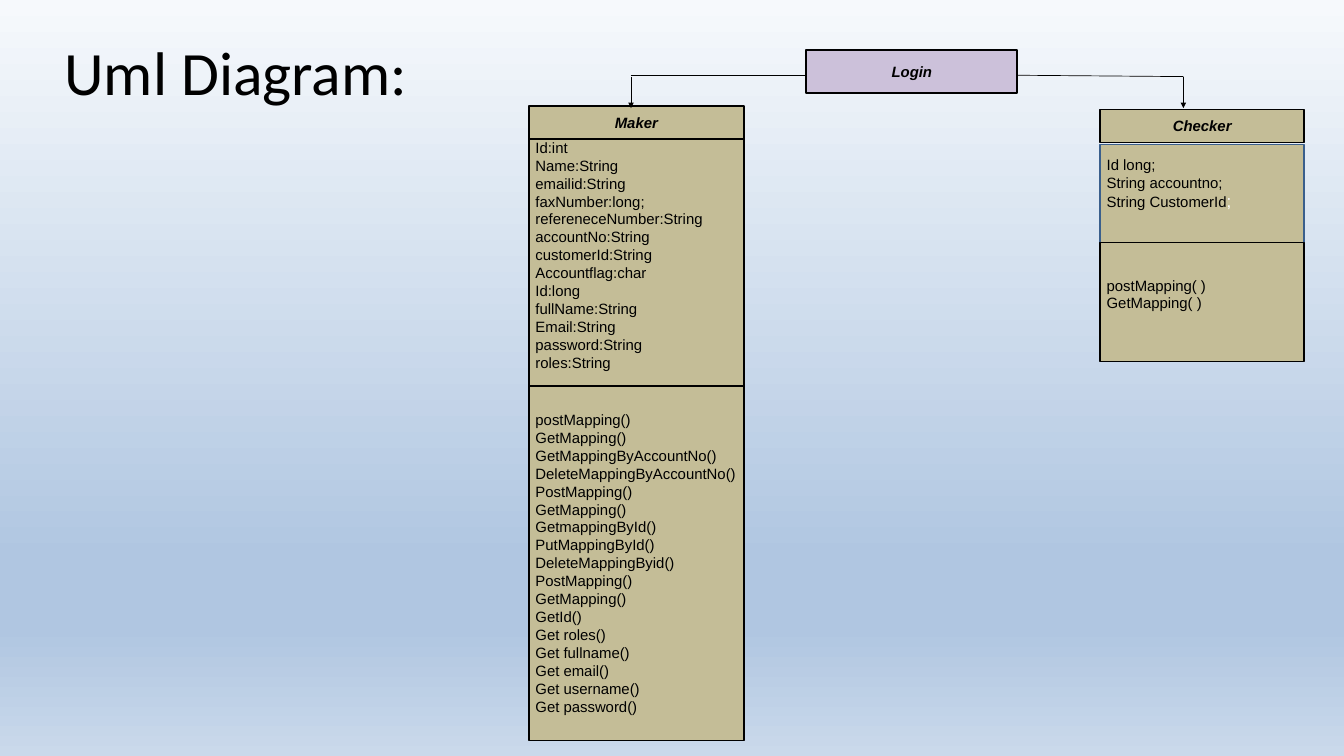
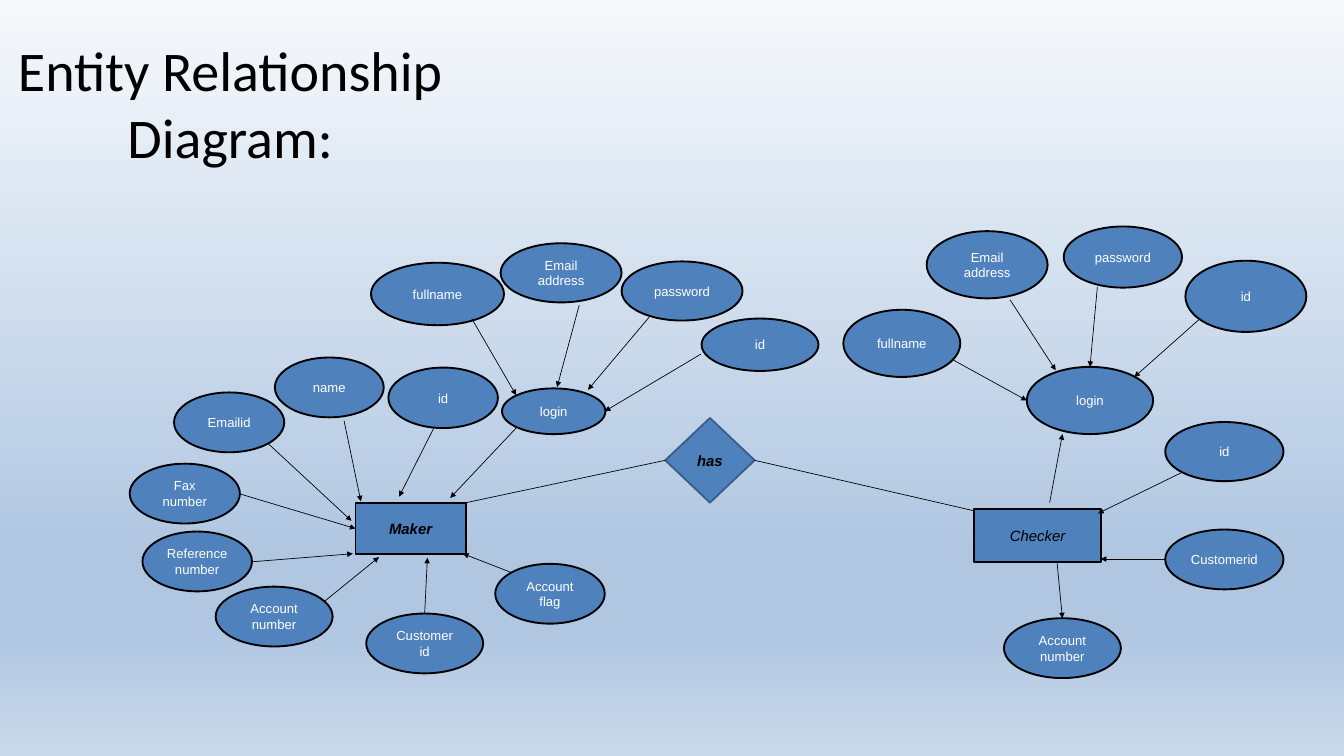
from lxml import etree
from pptx import Presentation
from pptx import util as u
from pptx.dml.color import RGBColor
from pptx.enum import shapes, text
from pptx.oxml.ns import qn

COLORS = {
    "ink": "000000", "white": "FFFFFF", "tan": "C4BD97",
    "lilac": "CCC1DA", "blue": "4F81BD", "edge": "3A5F8C",
}
SKY = [(0, "F6F9FC"), (74, "B0C6E1"), (83, "B0C6E1"), (100, "CAD9EB")]
RECT = shapes.MSO_SHAPE.RECTANGLE
OVAL = shapes.MSO_SHAPE.OVAL
DIAMOND = shapes.MSO_SHAPE.DIAMOND
LEFT, RIGHT = 1, 3

MAKER_FIELDS = """Id:int
Name:String
emailid:String
faxNumber:long;
refereneceNumber:String
accountNo:String
customerId:String
Accountflag:char
Id:long
fullName:String
Email:String
password:String
roles:String"""
MAKER_METHODS = """postMapping()
GetMapping()
GetMappingByAccountNo()
DeleteMappingByAccountNo()
PostMapping()
GetMapping()
GetmappingById()
PutMappingById()
DeleteMappingByid()
PostMapping()
GetMapping()
GetId()
Get roles()
Get fullname()
Get email()
Get username()
Get password()"""

ATTRIBUTES = [
    ("password", 9.25, 3.89, 1.8, 0.88),
    ("Email address", 7.45, 3.62, 1.8, 0.88),
    ("fullname", 5.52, 3.91, 1.98, 0.93),
    ("id", 10.44, 4.74, 1.74, 0.78),
    ("login", 7.47, 5.78, 1.54, 0.68),
    ("Emailid", 2.59, 5.84, 1.64, 0.89),
    ("name", 4.09, 5.32, 1.62, 0.89),
    ("Fax\nnumber", 1.93, 6.9, 1.64, 0.89),
    ("Reference\nnumber", 2.12, 7.91, 1.63, 0.89),
    ("Account\nnumber", 3.21, 8.73, 1.74, 0.89),
    ("Customer id", 5.45, 9.13, 1.74, 0.89),
    ("id", 5.78, 5.47, 1.63, 0.9),
    ("Account\nflag", 7.37, 8.39, 1.63, 0.89),
    ("id", 17.34, 6.28, 1.76, 0.88),
    ("Customerid", 17.34, 7.88, 1.76, 0.89),
    ("Account\nnumber", 14.94, 9.2, 1.74, 0.89),
    ("login", 15.28, 5.46, 1.88, 1),
    ("Email\naddress", 13.79, 3.44, 1.8, 1),
    ("password", 15.83, 3.37, 1.76, 0.91),
    ("id", 17.64, 3.88, 1.8, 1.06),
    ("fullname", 12.55, 4.61, 1.74, 1),
]
ARROWS = [
    (9.66, 4.72, 8.75, 5.8), (8.62, 4.54, 8.29, 5.76),
    (7.02, 4.74, 7.68, 5.88), (10.43, 5.27, 9, 6.12),
    (7.69, 6.36, 6.7, 7.41), (6.46, 6.36, 5.94, 7.39),
    (5.12, 6.26, 5.37, 7.46), (3.99, 6.6, 5.23, 7.75),
    (3.75, 8.36, 5.25, 8.24), (4.84, 8.94, 5.64, 8.29),
    (6.32, 9.13, 6.36, 8.3), (7.61, 8.52, 6.89, 8.24),
    (17.59, 7.03, 16.34, 7.64), (17.34, 8.32, 16.38, 8.32),
    (15.73, 8.37, 15.81, 9.2), (15.62, 7.48, 15.81, 6.46),
    (14.19, 5.36, 15.28, 5.96), (15.03, 4.46, 15.71, 5.51),
    (16.33, 4.27, 16.22, 5.46), (17.86, 4.74, 16.88, 5.61),
]


def rgb(name):
    return RGBColor.from_string(COLORS[name])


class Deck:
    """Holds the shared style and the slide being drawn."""

    def __init__(self):
        self.prs = Presentation()
        self.prs.slide_width = u.Inches(20)
        self.prs.slide_height = u.Inches(11.25)
        self.s = None
        self.background()

    def background(self):
        master = self.prs.slide_master
        fill = master.background.fill
        fill.gradient()
        fill.gradient_angle = 270
        stops = next(master.element.iter(qn("a:gsLst")))
        for gs in list(stops):
            stops.remove(gs)
        for pos, color in SKY:
            gs = etree.SubElement(stops, qn("a:gs"), pos=str(pos * 1000))
            etree.SubElement(gs, qn("a:srgbClr"), val=color)

    def slide(self, title, x, y, w, size):
        self.s = self.prs.slides.add_slide(self.prs.slide_layouts[0])
        subtitle = self.s.placeholders[1].element
        subtitle.getparent().remove(subtitle)
        sp = self.s.shapes.title
        sp.left, sp.top = u.Inches(x), u.Inches(y)
        sp.width, sp.height = u.Inches(w), u.Inches(1.61)
        tf = sp.text_frame
        tf.auto_size = text.MSO_AUTO_SIZE.NONE
        tf.vertical_anchor = text.MSO_ANCHOR.MIDDLE
        self.label(tf, title, size, face="Calibri")

    def label(self, tf, words, size, color="ink", bold=False, italic=False,
              align=text.PP_ALIGN.CENTER, face="Arial"):
        tf.text = words
        tf.word_wrap = True
        for p in tf.paragraphs:
            p.alignment = align
            p.font.name, p.font.size = face, u.Pt(size)
            p.font.bold, p.font.italic = bold, italic
            p.font.color.rgb = rgb(color)

    def shape(self, kind, x, y, w, h, fill, line="ink"):
        sp = self.s.shapes.add_shape(kind, *map(u.Inches, (x, y, w, h)))
        sp.shadow.inherit = False
        sp.fill.solid()
        sp.fill.fore_color.rgb = rgb(fill)
        sp.line.color.rgb = rgb(line)
        sp.line.width = u.Pt(2)
        sp.text_frame.vertical_anchor = text.MSO_ANCHOR.MIDDLE
        return sp

    def heading(self, words, x, y, w, h, fill, kind=RECT, line="ink", bold=True):
        sp = self.shape(kind, x, y, w, h, fill, line)
        self.label(sp.text_frame, words, 16, bold=bold, italic=True)
        return sp

    def members(self, words, x, y, w, h, pad, line="ink"):
        sp = self.shape(RECT, x, y, w, h, "tan", line)
        tf = sp.text_frame
        tf.vertical_anchor = text.MSO_ANCHOR.TOP
        tf.margin_top = u.Inches(pad)
        self.label(tf, words, 16, align=text.PP_ALIGN.LEFT)
        return sp

    def attribute(self, words, x, y, w, h):
        sp = self.shape(OVAL, x, y, w, h, "blue")
        self.label(sp.text_frame, words, 14, "white")

    def connector(self, x1, y1, x2, y2, arrow=True, begin=None, end=None):
        c = self.s.shapes.add_connector(
            shapes.MSO_CONNECTOR.STRAIGHT, *map(u.Inches, (x1, y1, x2, y2)))
        c.line.color.rgb = rgb("ink")
        c.line.width = u.Pt(0.75)
        if begin:
            c.begin_connect(*begin)
        if end:
            c.end_connect(*end)
        if arrow:
            ln = c.line.fill and c.element.spPr.find(qn("a:ln"))
            etree.SubElement(ln, qn("a:tailEnd"), type="triangle")
        etree.SubElement(c.element.spPr, qn("a:effectLst"))


def uml(deck):
    deck.slide("Uml Diagram:", 0.07, 0.25, 6.88, 66)
    deck.heading("Login", 12, 0.74, 3.14, 0.64, "lilac")

    x, w = 7.87, 3.2
    deck.members(MAKER_FIELDS, x, 2.06, w, 4.36, 0)
    deck.heading("Maker", x, 1.58, w, 0.49, "tan")
    deck.members(MAKER_METHODS, x, 5.74, w, 5.28, 0.37)

    x, w = 16.37, 3.04
    fields = deck.members("Id long;\nString accountno;\nString CustomerId",
                          x, 2.15, w, 2.56, 0.16, "edge")
    r = fields.text_frame.paragraphs[-1].add_run()
    r.text = ";"
    r.font.size = u.Pt(18)
    r.font.color.rgb = rgb("white")
    deck.heading("Checker", x, 1.63, w, 0.49, "tan")
    deck.members("postMapping( )\nGetMapping( )", x, 3.61, w, 1.77, 0.5)

    deck.connector(9.39, 1.12, 12, 1.12, arrow=False)
    deck.connector(15.14, 1.12, 17.61, 1.14, arrow=False)
    for x in (9.39, 17.61):
        deck.connector(x, 1.14, x, 1.61)


def entities(deck):
    deck.slide("Entity Relationship Diagram:", 0, 0.72, 6.85, 60)
    has = deck.heading("has", 9.9, 6.22, 1.33, 1.26, "blue", DIAMOND, "edge")
    maker = deck.heading("Maker", 5.29, 7.49, 1.64, 0.75, "blue")
    deck.heading("Checker", 14.5, 7.57, 1.88, 0.79, "blue", bold=False)
    for attribute in ATTRIBUTES:
        deck.attribute(*attribute)
    for arrow in ARROWS:
        deck.connector(*arrow)
    deck.connector(3.57, 7.35, 5.29, 7.86, end=(maker, LEFT))
    deck.connector(6.89, 7.49, 9.9, 6.85, arrow=False, end=(has, LEFT))
    deck.connector(11.23, 6.82, 14.49, 7.6, arrow=False, begin=(has, RIGHT))


def main():
    deck = Deck()
    uml(deck)
    entities(deck)
    deck.prs.save("out.pptx")


if __name__ == "__main__":
    main()
